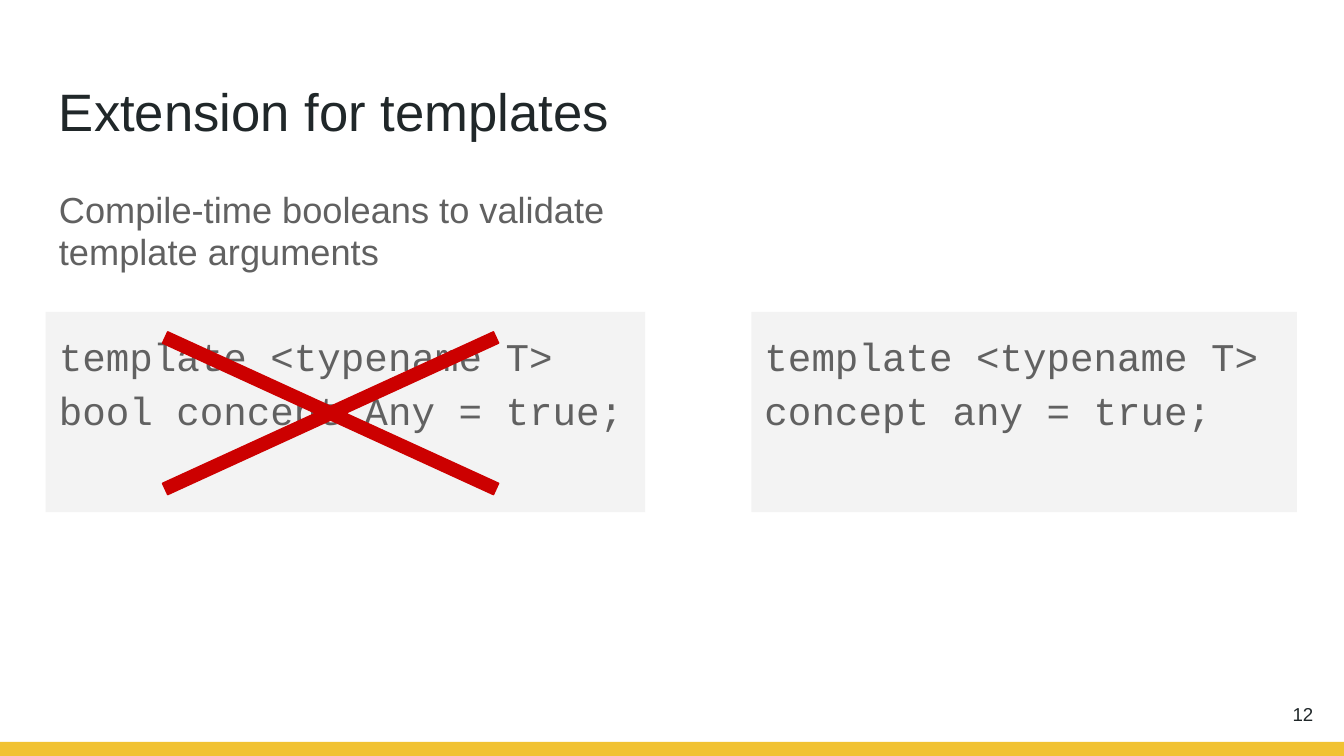
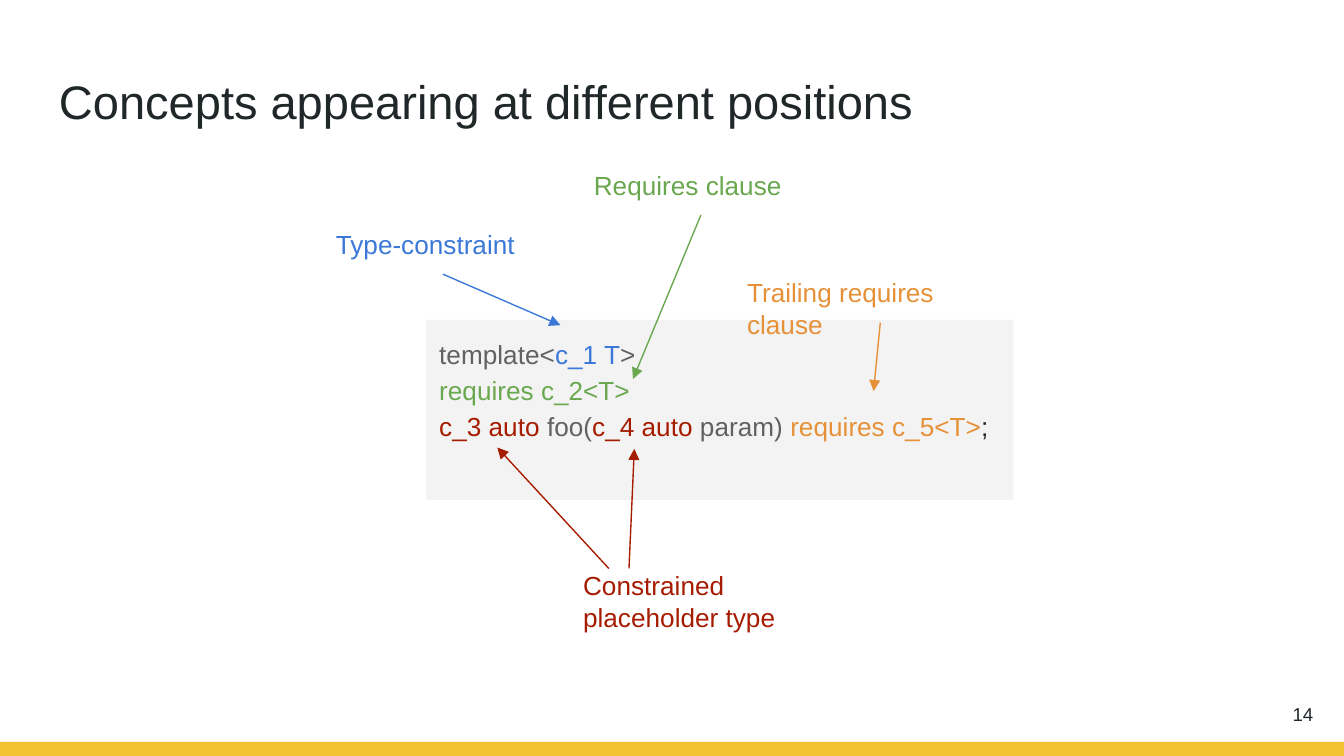
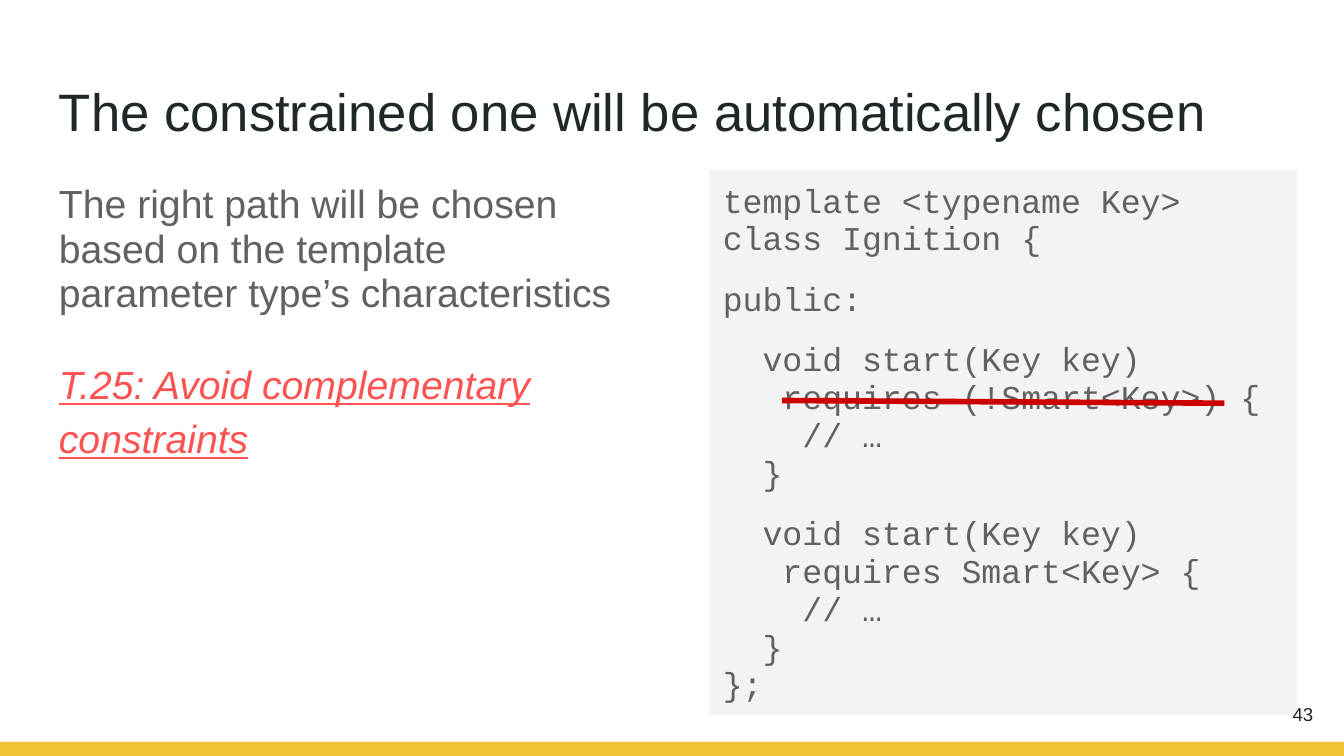
from lxml.etree import SubElement
from pptx import Presentation
from pptx.dml.color import RGBColor
from pptx.enum.shapes import MSO_CONNECTOR, MSO_SHAPE
from pptx.enum.text import MSO_ANCHOR, PP_ALIGN
from pptx.oxml.ns import qn
from pptx.util import Emu, Pt

PX = 9144
SANS, MONO = "Arial", "Courier New"
INK, GRAY, PANEL, BAND = "202729", "616161", "F3F3F3", "F1C232"
RED, CORAL = "CC0000", "FF5252"
BLUE, GREEN, ORANGE, BRICK = "3C78D8", "6AA84F", "E69138", "A61C00"
LEFT, BOTTOM_SIDE = 34, 2


def px(length):
    """Turn px, a hundredth of an inch each, into EMU."""
    return Emu(length * PX)


def color(hex_code):
    """Turn a hex string into a colour."""
    return RGBColor.from_string(hex_code)


def add_text(slide, box, paragraphs, size, tint=GRAY, font=SANS, fill=None, spacing=None,
             before=0, after=0, align=PP_ALIGN.LEFT, anchor=MSO_ANCHOR.TOP,
             italic=False, underline=False):
    """Write paragraphs, each a string or a list of (text, colour) parts, in a box."""
    holder = slide.shapes.add_textbox(*map(px, box))
    if fill:
        holder.fill.solid()
        holder.fill.fore_color.rgb = color(fill)
    frame = holder.text_frame
    frame.word_wrap = True
    frame.vertical_anchor = anchor
    frame.margin_left = frame.margin_right = frame.margin_top = frame.margin_bottom = px(10)
    for index, parts in enumerate(paragraphs):
        paragraph = frame.add_paragraph() if index else frame.paragraphs[0]
        paragraph.alignment = align
        paragraph.line_spacing = spacing
        paragraph.space_before = Pt(before if index else 0)
        paragraph.space_after = Pt(after if index == len(paragraphs) - 1 else 0)
        for words, part_tint in [(parts, tint)] if isinstance(parts, str) else parts:
            for number, line in enumerate(words.split("\n")):
                if number:
                    paragraph.add_line_break()
                if not line:
                    continue
                run = paragraph.add_run()
                run.text = line
                run.font.name = font
                run.font.size = Pt(size)
                run.font.italic = italic
                run.font.underline = underline
                run.font.color.rgb = color(part_tint)
    return holder


def add_shape(slide, kind, box, fill):
    """Draw a filled preset shape without shadow or outline."""
    shape = slide.shapes.add_shape(kind, *map(px, box))
    shape.shadow.inherit = False
    shape.fill.solid()
    shape.fill.fore_color.rgb = color(fill)
    shape.line.fill.background()
    return shape


def add_line(slide, start, end, tint, width=0.75, arrow=False):
    """Draw a straight line, with an arrowhead at its end if asked."""
    line = slide.shapes.add_connector(MSO_CONNECTOR.STRAIGHT, *map(px, (*start, *end)))
    line.line.color.rgb = color(tint)
    line.line.width = Pt(width)
    if arrow:
        SubElement(line.line._get_or_add_ln(), qn("a:tailEnd"), type="triangle")
    SubElement(line._element.spPr, qn("a:effectLst"))
    return line


def add_page(deck, title, title_top=49, title_size=28.2):
    """Add a slide with its bottom band and title."""
    slide = deck.slides.add_slide(deck.slide_layouts[6])
    add_shape(slide, MSO_SHAPE.RECTANGLE, (0, 552, 1000, 11), BAND)
    add_text(slide, (LEFT, title_top, 932, 63), [title], title_size, INK)
    return slide


def add_page_number(slide, number):
    """Write the page number above the right end of the band."""
    add_text(slide, (927, 510, 60, 43), [number], 10, INK,
             align=PP_ALIGN.RIGHT, anchor=MSO_ANCHOR.MIDDLE)


def add_callout(slide, box, label, tint, target):
    """Place a label and point an arrow from its bottom to the target."""
    left, top, width, height = box
    caption = add_text(slide, box, [label], 14, tint)
    arrow = add_line(slide, (left + width // 2, top + height), target, tint, arrow=True)
    arrow.begin_connect(caption, BOTTOM_SIDE)


def build_extension(deck):
    """Compare the rejected and the accepted concept syntax."""
    slide = add_page(deck, "Extension for templates")
    for left, width, declaration in ((LEFT, 446, "bool concept Any = true;"),
                                     (559, 406, "concept any = true;")):
        add_text(slide, (left, 232, width, 149), ["template <typename T>\n" + declaration],
                 21, font=MONO, fill=PANEL, spacing=1.15, after=12)
    add_text(slide, (LEFT, 132, 437, 84),
             ["Compile-time booleans to validate template arguments"],
             19.4, spacing=0.95, after=12)
    cross = add_shape(slide, MSO_SHAPE.MATH_MULTIPLY, (9, 199, 474, 217), RED)
    cross.adjustments[0] = 0.043
    cross.line.color.rgb = color(RED)
    cross.line.width = Pt(0.75)
    add_page_number(slide, "12")


def build_positions(deck):
    """Label each place where a concept may stand."""
    slide = add_page(deck, "Concepts appearing at different positions", 44, 25.2)
    declaration = [
        ("template<", GRAY), ("c_1 T", BLUE), (">\n", GRAY),
        ("requires c_2<T>\n", GREEN),
        ("c_3 auto", BRICK), (" foo(", GRAY), ("c_4 auto", BRICK), (" param) ", GRAY),
        ("requires c_5<T>", ORANGE), (";", INK),
    ]
    add_text(slide, (317, 238, 437, 134), [declaration], 14, fill=PANEL,
             spacing=1.15, after=12)
    add_callout(slide, (240, 160, 179, 44), "Type-constraint", BLUE, (417, 242))
    add_callout(slide, (432, 116, 179, 44), "Requires clause", GREEN, (471, 282))
    add_callout(slide, (546, 196, 218, 44), "Trailing requires clause", ORANGE, (650, 291))
    add_text(slide, (424, 414, 179, 67), ["Constrained placeholder type"], 14, BRICK)
    for start, end in (((453, 423), (370, 333)), ((468, 423), (472, 334))):
        add_line(slide, start, end, BRICK, arrow=True)
    add_page_number(slide, "14")


def start_method(constraint):
    """Return the code of one start overload."""
    return f"  void start(Key key)\n   requires {constraint} {{\n    // …\n  }}"


def build_choice(deck):
    """Show that the negated constraint is not needed."""
    slide = add_page(deck, "The constrained one will be automatically chosen")
    add_text(slide, (LEFT, 126, 437, 127),
             ["The right path will be chosen based on the template "
              "parameter type’s characteristics"], 21, spacing=0.95, after=12)
    ignition = ["template <typename Key>\nclass Ignition {", "public:",
                start_method("(!Smart<Key>)"), start_method("Smart<Key>") + "\n};"]
    add_text(slide, (528, 126, 437, 406), ignition, 17.8, font=MONO, fill=PANEL,
             spacing=0.95, before=12, after=12)
    add_text(slide, (LEFT, 253, 437, 127), ["T.25: Avoid complementary constraints"],
             21, CORAL, spacing=1.15, after=12, italic=True, underline=True)
    add_line(slide, (582, 298), (911, 300), RED, width=3)
    add_page_number(slide, "43")


def main():
    """Build and save the deck."""
    deck = Presentation()
    deck.slide_width = px(1000)
    deck.slide_height = Emu(deck.slide_width * 9 // 16)
    for build in (build_extension, build_positions, build_choice):
        build(deck)
    deck.save("out.pptx")


if __name__ == "__main__":
    main()
